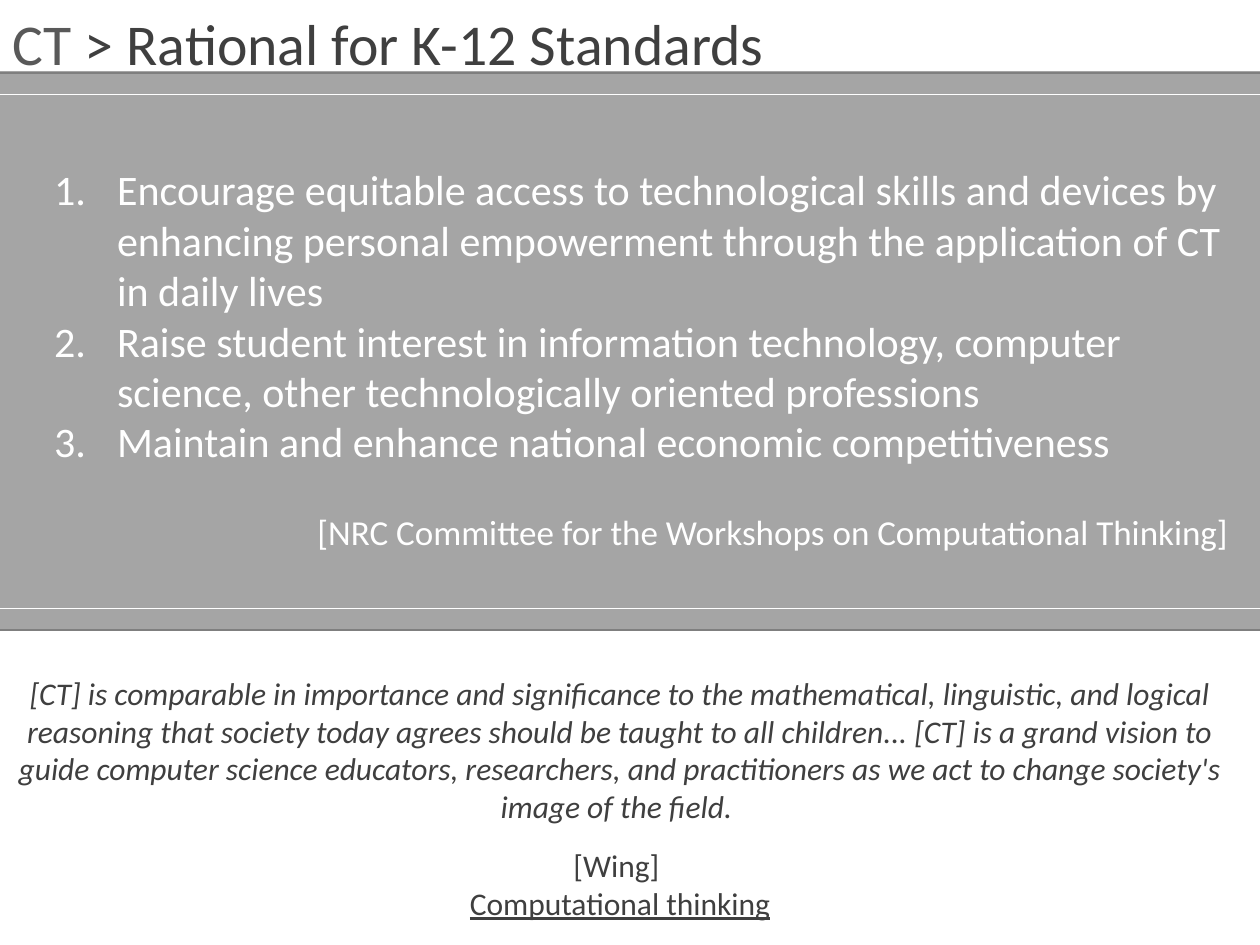
from dataclasses import dataclass

from lxml.etree import SubElement
from pptx import Presentation
from pptx.dml.color import RGBColor
from pptx.enum.shapes import MSO_CONNECTOR, MSO_SHAPE
from pptx.enum.text import MSO_ANCHOR, MSO_AUTO_SIZE, PP_ALIGN
from pptx.oxml.ns import qn
from pptx.util import Cm, Pt


@dataclass(frozen=True)
class Theme:
    font: str = "Calibri"
    white: str = "FFFFFF"
    band: str = "A5A5A5"
    edge: str = "7F7F7F"
    soft: str = "595959"
    dark: str = "3F3F3F"
    title: int = 33
    item: int = 24
    cite: int = 20
    quote: int = 18


THEME = Theme()
WIDE, HIGH = 25.4, 19.05

REASONS = [
    "Encourage equitable access to technological skills and devices by enhancing "
    "personal empowerment through the application of CT in daily lives",
    "Raise student interest in information technology, computer science, "
    "other technologically oriented professions",
    "Maintain and enhance national economic competitiveness",
]
SOURCE = "[NRC Committee for the Workshops on Computational Thinking]"
QUOTE = (
    "[CT] is comparable in importance and significance to the mathematical, "
    "linguistic, and logical reasoning that society today agrees should be taught "
    "to all children... [CT] is a grand vision to guide computer science educators, "
    "researchers, and practitioners as we act to change society's image of the field. "
)


def style(run, size, color):
    run.font.name = THEME.font
    run.font.size = Pt(size)
    run.font.color.rgb = RGBColor.from_string(color)


def add_text(slide, box, lines, size, color):
    """Add a wrapped text box with one paragraph per line; return its paragraphs."""
    frame = slide.shapes.add_textbox(*map(Cm, box)).text_frame
    frame.word_wrap = True
    frame.text = "\n".join(lines)
    for para in frame.paragraphs:
        for run in para.runs:
            style(run, size, color)
    return frame.paragraphs


def number(para):
    """Turn a paragraph into a numbered item with a hanging indent."""
    props = para._p.get_or_add_pPr()
    props.set("marL", str(Cm(1.27)))
    props.set("indent", str(-Cm(1.27)))
    tint = SubElement(props, qn("a:buClr"))
    SubElement(tint, qn("a:srgbClr"), val=THEME.white)
    SubElement(props, qn("a:buAutoNum"), type="arabicPeriod")


def add_rule(group, left, top, width, color):
    rule = group.shapes.add_connector(
        MSO_CONNECTOR.STRAIGHT, Cm(left), Cm(top), Cm(left + width), Cm(top))
    rule.line.width = Pt(0.75)
    rule.line.color.rgb = RGBColor.from_string(color)
    SubElement(rule._element.spPr, qn("a:effectLst"))


def add_band(slide, left, top, width, height):
    group = slide.shapes.add_group_shape()
    panel = group.shapes.add_shape(
        MSO_SHAPE.RECTANGLE, Cm(left), Cm(top), Cm(width), Cm(height - 0.05))
    panel.shadow.inherit = False
    panel.fill.solid()
    panel.fill.fore_color.rgb = RGBColor.from_string(THEME.band)
    panel.line.color.rgb = RGBColor.from_string(THEME.band)
    panel.line.width = Pt(2)
    inset = 0.43
    for gap, color in ((inset, THEME.white), (0, THEME.edge)):
        for edge in (top + gap, top + height - gap):
            add_rule(group, left, edge, width, color)


def set_title(slide, left, top, width, height):
    title = slide.shapes.title
    title.left, title.top = Cm(left), Cm(top)
    title.width, title.height = Cm(width), Cm(height)
    frame = title.text_frame
    frame.auto_size = MSO_AUTO_SIZE.NONE
    frame.vertical_anchor = MSO_ANCHOR.TOP
    para = frame.paragraphs[0]
    para.alignment = PP_ALIGN.LEFT
    for text, color in (("CT ", THEME.soft),
                        ("> Rational for K-12 Standards", THEME.dark)):
        run = para.add_run()
        run.text = text
        style(run, THEME.title, color)


def add_reasons(slide, left, top, width, height):
    box = (left, top, width - 0.23, height - 1.7)
    for para in add_text(slide, box, REASONS, THEME.item, THEME.white):
        number(para)
    box = (left + 5.31, top + height - 1.12, width - 5.31, 1.12)
    add_text(slide, box, [SOURCE], THEME.cite, THEME.white)


def add_quote(slide, left, top, width, height):
    lines = [QUOTE, "[Wing] ", "Computational thinking"]
    paras = add_text(slide, (left, top, width, height), lines,
                     THEME.quote, THEME.dark)
    for para in paras:
        para.alignment = PP_ALIGN.CENTER
    words, author, work = paras
    words.runs[0].font.italic = True
    author.space_before = Pt(12)
    work.runs[0].font.underline = True


def main():
    deck = Presentation()
    deck.slide_width, deck.slide_height = Cm(WIDE), Cm(HIGH)
    slide = deck.slides.add_slide(deck.slide_layouts[5])
    add_band(slide, 0, 1.47, WIDE, 11.23)
    set_title(slide, 0, 0.03, WIDE, 3.07)
    add_reasons(slide, 0.84, 3.18, WIDE - 0.84, 8.1)
    add_quote(slide, -0.2, 13.46, WIDE, 5.31)
    deck.save("out.pptx")


if __name__ == "__main__":
    main()
